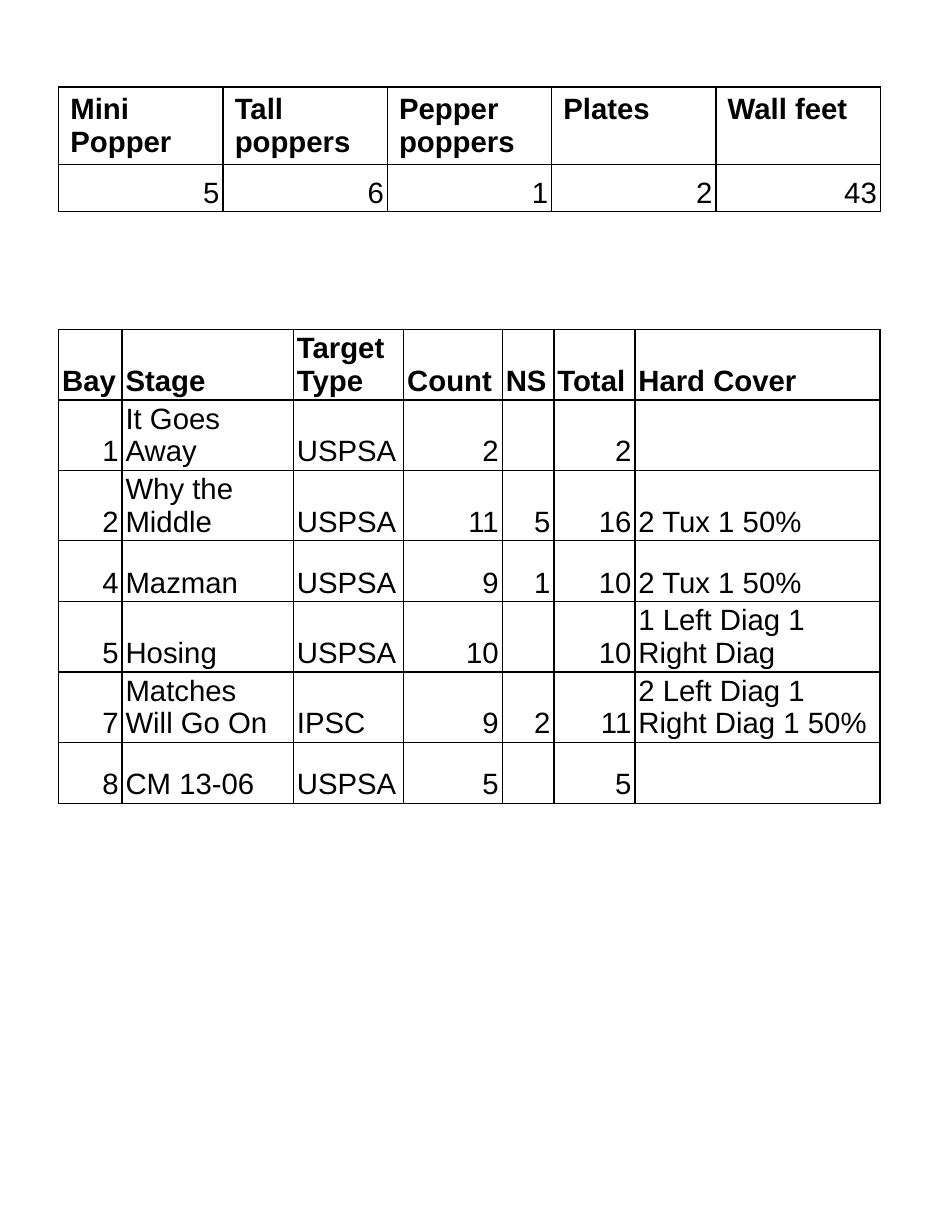
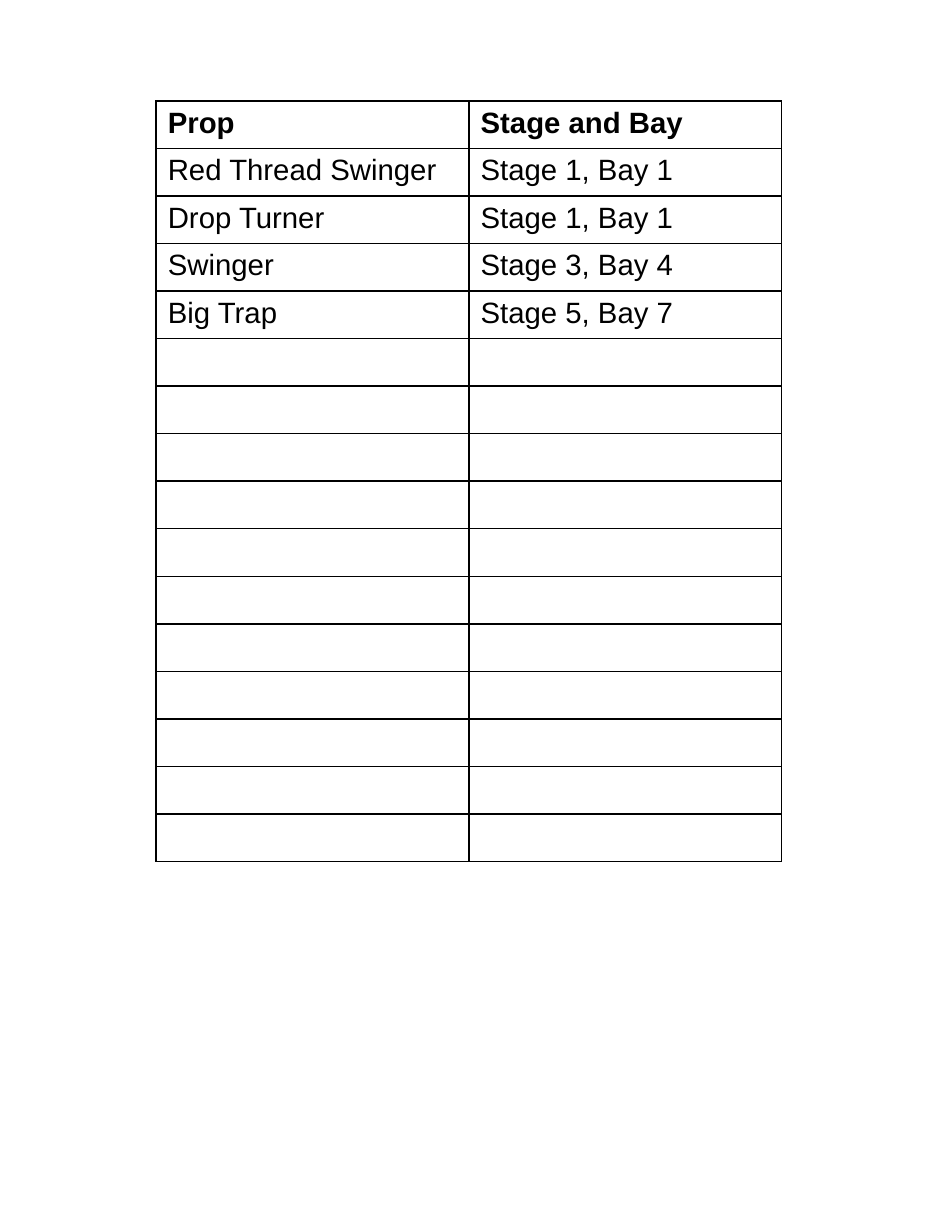
from dataclasses import dataclass

from lxml.etree import SubElement
from pptx import Presentation
from pptx.dml.color import RGBColor
from pptx.enum.text import MSO_ANCHOR as Anchor, PP_ALIGN as Align
from pptx.oxml.ns import qn
from pptx.slide import Slide
from pptx.table import _Cell as Cell
from pptx.util import Emu, Pt

SCALE = 4572  # 200 px to the inch
INK = RGBColor(0, 0, 0)
PAPER = RGBColor(255, 255, 255)
FONT = "Arial"
SIZE = Pt(18)
RULE = Pt(1)


@dataclass(frozen=True)
class Style:
    side: int
    edge: int
    anchor: Anchor


LOOSE = Style(20, 10, Anchor.TOP)
TIGHT = Style(6, 4, Anchor.BOTTOM)


@dataclass(frozen=True)
class Grid:
    left: int
    top: int
    height: int
    cols: list[int]
    row: int
    cells: list[list[str]]
    head: Style
    body: Style


SUPPLY = Grid(
    100, 148, 222, [280] * 5, 81,
    [["Mini Popper", "Tall poppers", "Pepper poppers", "Plates", "Wall feet"],
     ["5", "6", "1", "2", "43"]],
    LOOSE, TIGHT,
)

STAGES = Grid(
    100, 562, 848, [108, 292, 188, 168, 88, 138, 418], 104,
    [["Bay", "Stage", "Target Type", "Count", "NS", "Total", "Hard Cover"],
     ["1", "It Goes Away", "USPSA", "2", "", "2", ""],
     ["2", "Why the Middle", "USPSA", "11", "5", "16", "2 Tux 1 50%"],
     ["4", "Mazman", "USPSA", "9", "1", "10", "2 Tux 1 50%"],
     ["5", "Hosing", "USPSA", "10", "", "10", "1 Left Diag 1 Right Diag"],
     ["7", "Matches Will Go On", "IPSC", "9", "2", "11",
      "2 Left Diag 1 Right Diag 1 50%"],
     ["8", "CM 13-06", "USPSA", "5", "", "5", ""]],
    TIGHT, TIGHT,
)

SPARE = 11
PROPS = Grid(
    266, 172, 1298, [533] * 2, 81,
    [["Prop", "Stage and Bay"],
     ["Red Thread Swinger", "Stage 1, Bay 1"],
     ["Drop Turner", "Stage 1, Bay 1"],
     ["Swinger", "Stage 3, Bay 4"],
     ["Big Trap", "Stage 5, Bay 7"]] + [["", ""]] * SPARE,
    LOOSE, LOOSE,
)


def px(length: int) -> Emu:
    return Emu(length * SCALE)


def frame(cell: Cell) -> None:
    """Rule all four sides; the lines must come before the fill."""
    props = cell._tc.get_or_add_tcPr()
    for spot, tag in enumerate(("a:lnL", "a:lnR", "a:lnT", "a:lnB")):
        line = SubElement(props, qn(tag), w=str(RULE))
        fill = SubElement(line, qn("a:solidFill"))
        SubElement(fill, qn("a:srgbClr"), val=str(INK))
        props.insert(spot, line)


def fill_cell(cell: Cell, text: str, style: Style, bold: bool) -> None:
    cell.fill.solid()
    cell.fill.fore_color.rgb = PAPER
    cell.margin_left = cell.margin_right = px(style.side)
    cell.margin_top = cell.margin_bottom = px(style.edge)
    cell.vertical_anchor = style.anchor
    frame(cell)
    if not text:
        return
    para = cell.text_frame.paragraphs[0]
    para.alignment = Align.RIGHT if text.isdigit() else Align.LEFT
    run = para.add_run()
    run.text = text
    run.font.name = FONT
    run.font.size = SIZE
    run.font.bold = bold
    run.font.color.rgb = INK


def draw(slide: Slide, grid: Grid) -> None:
    shape = slide.shapes.add_table(
        len(grid.cells), len(grid.cols), px(grid.left), px(grid.top),
        px(sum(grid.cols)), px(grid.height))
    table = shape.table
    table.first_row = table.horz_banding = False
    for col, width in zip(table.columns, grid.cols):
        col.width = px(width)
    for y, texts in enumerate(grid.cells):
        table.rows[y].height = px(grid.row)
        style = grid.body if y else grid.head
        for x, text in enumerate(texts):
            fill_cell(table.cell(y, x), text, style, y == 0)
    shape.height = px(grid.height)


def main() -> None:
    deck = Presentation()
    deck.slide_width, deck.slide_height = px(1600), px(2100)
    blank = deck.slide_layouts[6]
    for grids in ([SUPPLY, STAGES], [PROPS]):
        slide = deck.slides.add_slide(blank)
        for grid in grids:
            draw(slide, grid)
    deck.save("out.pptx")


if __name__ == "__main__":
    main()
